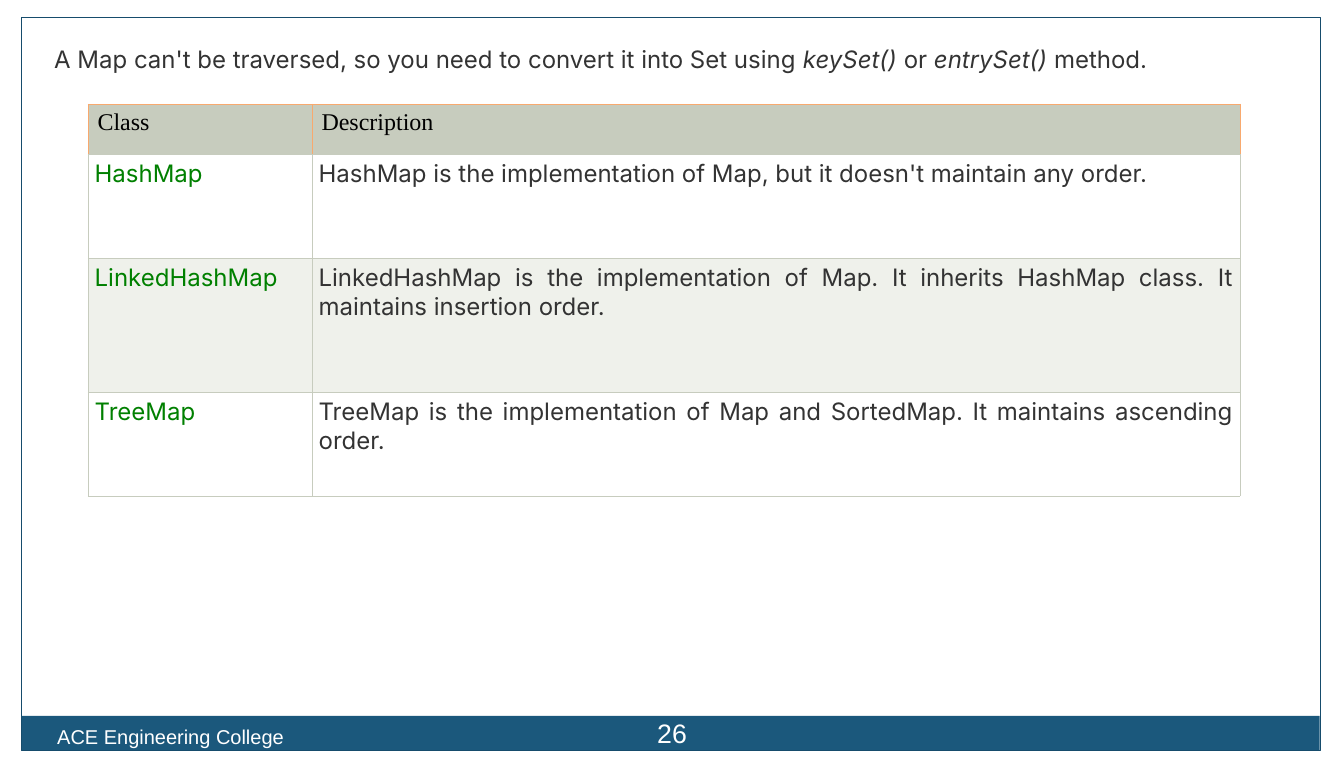
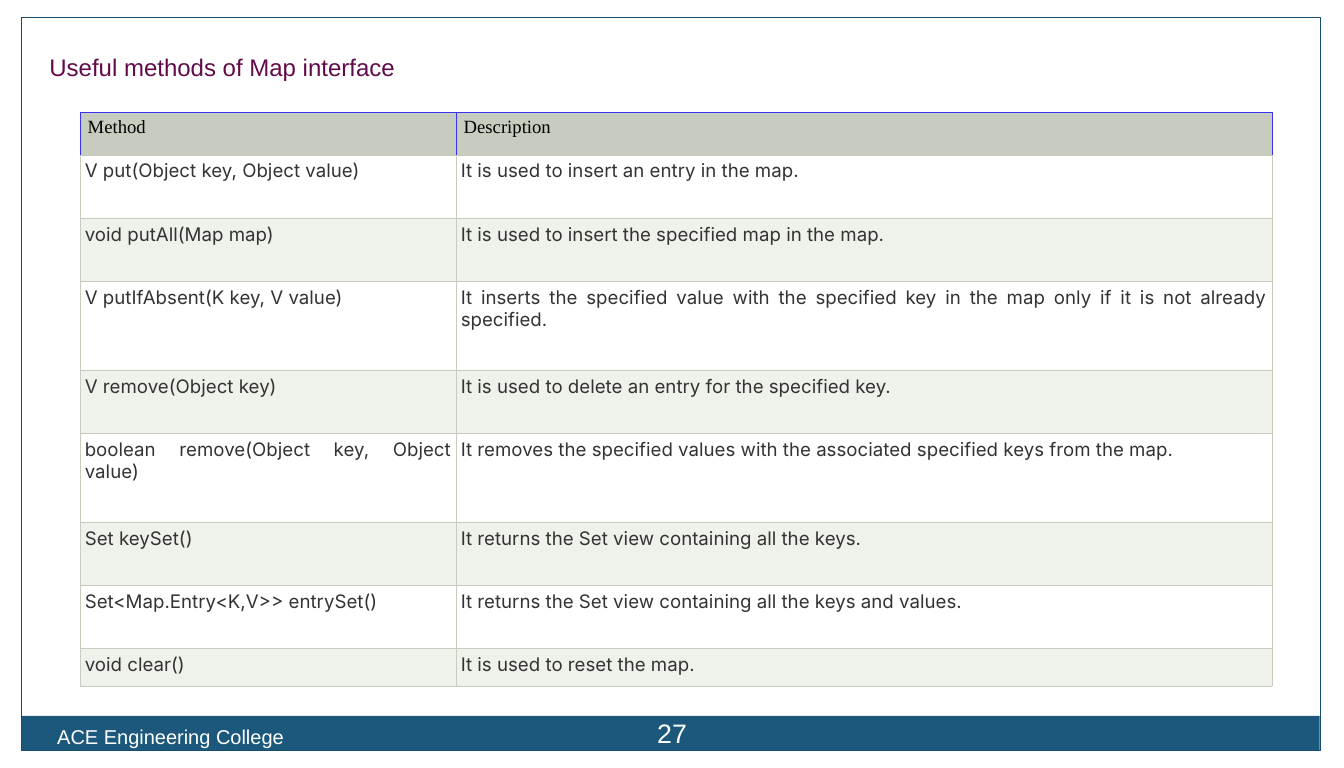
from dataclasses import dataclass

from lxml.etree import SubElement
from pptx import Presentation
from pptx.dml.color import RGBColor
from pptx.enum.shapes import MSO_SHAPE as Shape
from pptx.enum.text import MSO_ANCHOR as Anchor, PP_ALIGN as Align
from pptx.oxml.ns import qn
from pptx.util import Inches, Pt


@dataclass(frozen=True)
class Theme:
    band: str = "1B587C"
    frame: str = "164C6C"
    white: str = "FFFFFF"
    black: str = "000000"
    body: str = "333333"
    heading: str = "610B4B"
    class_name: str = "008000"
    header: str = "C7CCBE"
    stripe: str = "EFF1EB"
    sans: str = "Arial"
    serif: str = "Times New Roman"
    text: str = "Inter"
    lead_size: int = 18
    table_size: int = 14
    footer_size: int = 15
    number_size: int = 20
    border: float = 0.28


theme = Theme()
color = RGBColor.from_string


def grid(*units):
    """Turn counts of grid units, twelve to the inch, into lengths."""
    return [Inches(unit / 12) for unit in units]


def write(frame, spans, size, font, ink, align=Align.LEFT, inset=(0.1, 0.05)):
    """Fill a text frame or cell; every second span is italic."""
    frame.margin_left = frame.margin_right = Inches(inset[0])
    frame.margin_top = frame.margin_bottom = Inches(inset[1])
    para = getattr(frame, "text_frame", frame).paragraphs[0]
    para.alignment = align
    para.font.size = Pt(size)
    para.font.name = font
    para.font.color.rgb = color(ink)
    for index, words in enumerate(spans):
        span = para.add_run()
        span.text = words
        if index % 2:
            span.font.italic = True


# Place, fill and line of the margins, the footer band and the page frame.
backdrop = [
    ((0, 0, 168, 2.15), theme.white, None),
    ((165.25, 0, 2.75, 96), theme.white, None),
    ((0, 0, 2.75, 96), theme.white, None),
    ((2.7, 89.5, 162.25, 4.35), theme.band, None),
    ((2.75, 2.15, 162.3, 91.7), None, theme.frame),
]

pages = [
    dict(
        number=26,
        lead=["A Map can't be traversed, so you need to convert it into Set using ",
              "keySet()", " or ", "entrySet()", " method."],
        lead_at=(5.6, 5, 158.4, 4.8), lead_font=theme.text,
        lead_ink=theme.body, lead_align=Align.LEFT,
        table_at=(11, 13), columns=(28, 116), heights=(6.28, 13, 16.75, 12.97),
        size=theme.lead_size, edge="F8A96E", insets=(0.1, 0.07),
        first_ink=theme.class_name,
        rows=[
            ("Class", "Description"),
            ("HashMap", "HashMap is the implementation of Map, but it doesn't maintain any order."),
            ("LinkedHashMap", "LinkedHashMap is the implementation of Map. It inherits HashMap class. "
                              "It maintains insertion order."),
            ("TreeMap", "TreeMap is the implementation of Map and SortedMap. "
                        "It maintains ascending order."),
        ],
    ),
    dict(
        number=27,
        lead=["Useful methods of Map interface"],
        lead_at=(5, 6, 84, 4.8), lead_font=theme.sans,
        lead_ink=theme.heading, lead_align=Align.JUSTIFY,
        table_at=(10, 14), columns=(47, 102),
        heights=(5.38, 7.9, 7.9, 11.12, 7.88, 11.12, 7.88, 7.88, 4.7),
        size=theme.table_size, edge="3833EE", insets=(0.08, 0.05),
        first_ink=theme.body,
        rows=[
            ("Method", "Description"),
            ("V put(Object key, Object value)", "It is used to insert an entry in the map."),
            ("void putAll(Map map)", "It is used to insert the specified map in the map."),
            ("V putIfAbsent(K key, V value)", "It inserts the specified value with the specified key "
                                              "in the map only if it is not already specified."),
            ("V remove(Object key)", "It is used to delete an entry for the specified key."),
            ("boolean remove(Object key, Object value)",
             "It removes the specified values with the associated specified keys from the map."),
            ("Set keySet()", "It returns the Set view containing all the keys."),
            ("Set<Map.Entry<K,V>> entrySet()", "It returns the Set view containing all the keys and values."),
            ("void clear()", "It is used to reset the map."),
        ],
    ),
]

deck = Presentation()
deck.slide_width, deck.slide_height = grid(168, 96)

for page in pages:
    slide = deck.slides.add_slide(deck.slide_layouts[6])
    shapes = slide.shapes

    for place, fill, edge in backdrop:
        panel = shapes.add_shape(Shape.RECTANGLE, *grid(*place))
        panel.shadow.inherit = False
        if fill:
            panel.fill.solid()
            panel.fill.fore_color.rgb = color(fill)
        else:
            panel.fill.background()
        if edge:
            panel.line.color.rgb = color(edge)
            panel.line.width = Pt(0.75)
        else:
            panel.line.fill.background()

    texts = [
        ((5.6, 89.8, 65.8, 5.15), Anchor.TOP, ["ACE Engineering College"],
         theme.footer_size, theme.sans, theme.white, Align.LEFT, (0.13, 0.06)),
        ((78.4, 88.6, 11.2, 6.1), Anchor.MIDDLE, [str(page["number"])],
         theme.number_size, theme.sans, theme.white, Align.CENTER, (0.06, 0.06)),
        (page["lead_at"], Anchor.TOP, page["lead"],
         theme.lead_size, page["lead_font"], page["lead_ink"], page["lead_align"]),
    ]
    for place, anchor, *style in texts:
        box = shapes.add_textbox(*grid(*place)).text_frame
        box.word_wrap = True
        box.vertical_anchor = anchor
        write(box, *style)

    columns, heights, rows = page["columns"], page["heights"], page["rows"]
    table = shapes.add_table(len(rows), len(columns), *grid(
        *page["table_at"], sum(columns), sum(heights))).table
    table.first_row = table.horz_banding = False
    for column, width in zip(table.columns, grid(*columns)):
        column.width = width
    for row, height in zip(table.rows, grid(*heights)):
        row.height = height

    header_inset, body_inset = page["insets"]
    for r, row in enumerate(rows):
        for c, words in enumerate(row):
            cell = table.cell(r, c)
            if r == 0:
                fill, edge = theme.header, page["edge"]
                write(cell, [words], page["size"], theme.serif, theme.black,
                      inset=(header_inset, 0.05))
            else:
                fill, edge = (theme.white if r % 2 else theme.stripe), theme.header
                ink = theme.body if c else page["first_ink"]
                write(cell, [words], page["size"], theme.text, ink,
                      Align.JUSTIFY, (body_inset, 0.05))
            borders = {"lnL": edge, "lnR": edge, "lnT": edge, "lnB": theme.header}
            for side, ink in borders.items():
                line = SubElement(cell._tc.get_or_add_tcPr(), qn(f"a:{side}"),
                                  w=str(Pt(theme.border)))
                SubElement(SubElement(line, qn("a:solidFill")), qn("a:srgbClr"), val=ink)
            cell.fill.solid()
            cell.fill.fore_color.rgb = color(fill)

deck.save("out.pptx")
